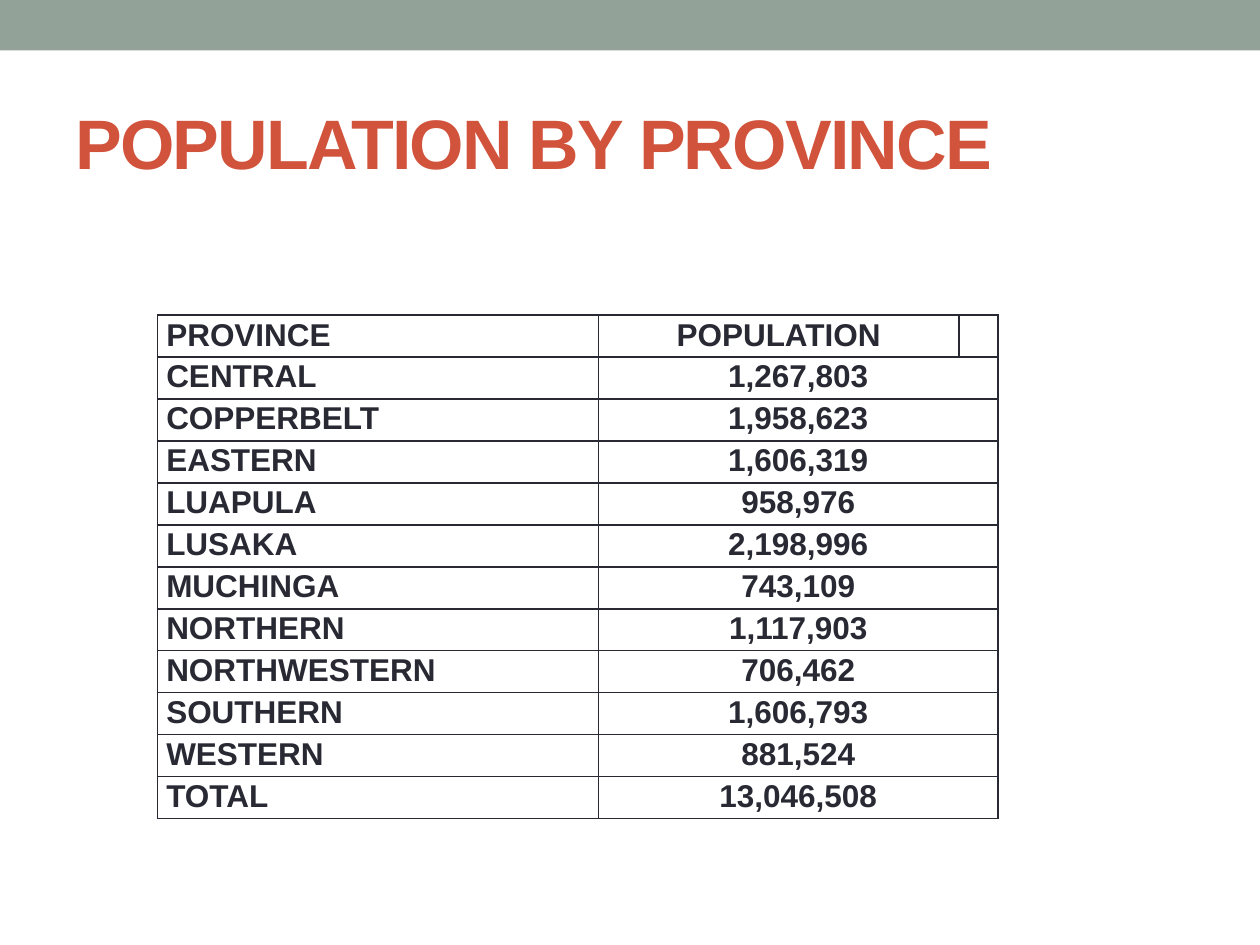
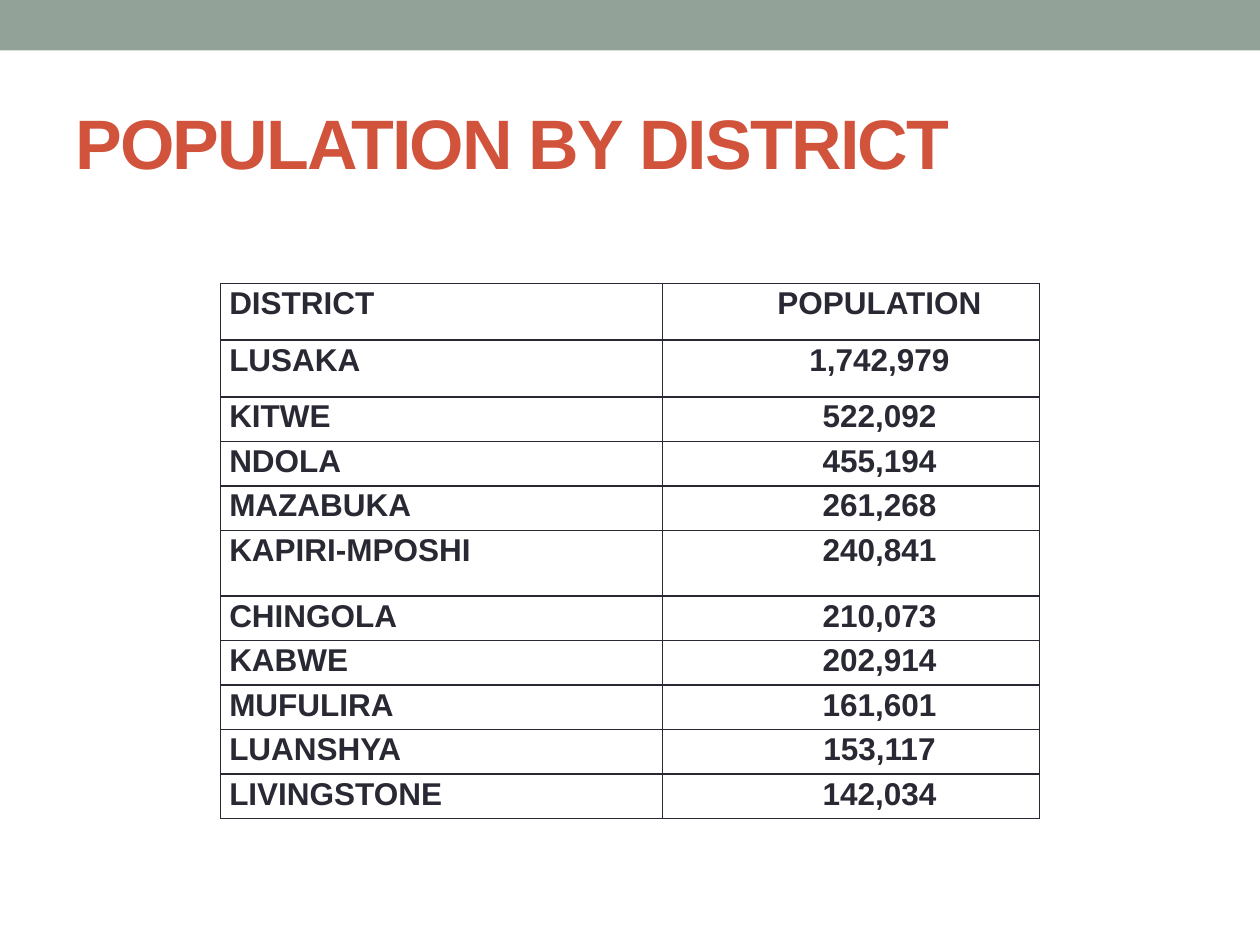
import pptx
import pptx.dml.color
import pptx.enum.shapes
import pptx.enum.text
import pptx.oxml
import pptx.oxml.ns
import pptx.util
from dataclasses import dataclass

Inches = pptx.util.Inches
Pt = pptx.util.Pt
ALIGN = pptx.enum.text.PP_ALIGN
ANCHOR = pptx.enum.text.MSO_ANCHOR


@dataclass(frozen=True)
class Theme:
    band: str = "93A299"
    title: str = "D2533C"
    ink: str = "292934"
    font: str = "Arial"
    title_size: int = 40
    table_size: int = 18
    border_width: int = 1
    line_spacing: float = 1.07


THEME = Theme()

PROVINCES = [
    ("PROVINCE", "POPULATION"),
    ("CENTRAL", "1,267,803"),
    ("COPPERBELT", "1,958,623"),
    ("EASTERN", "1,606,319"),
    ("LUAPULA", "958,976"),
    ("LUSAKA", "2,198,996"),
    ("MUCHINGA", "743,109"),
    ("NORTHERN", "1,117,903"),
    ("NORTHWESTERN", "706,462"),
    ("SOUTHERN", "1,606,793"),
    ("WESTERN", "881,524"),
    ("TOTAL", "13,046,508"),
]

DISTRICTS = [
    ("DISTRICT", "POPULATION"),
    ("LUSAKA", "1,742,979"),
    ("KITWE", "522,092"),
    ("NDOLA", "455,194"),
    ("MAZABUKA", "261,268"),
    ("KAPIRI-MPOSHI", "240,841"),
    ("CHINGOLA", "210,073"),
    ("KABWE", "202,914"),
    ("MUFULIRA", "161,601"),
    ("LUANSHYA", "153,117"),
    ("LIVINGSTONE", "142,034"),
]


def set_attributes(target, values):
    for name, value in values.items():
        setattr(target, name, value)


def add_run(paragraph, text, size, color):
    run = paragraph.add_run()
    run.text = text
    set_attributes(run.font, {"name": THEME.font, "size": Pt(size), "bold": True})
    run.font.color.rgb = pptx.dml.color.RGBColor.from_string(color)
    return run


# Shared slide parts: top band and title
def add_band(slide):
    shape = slide.shapes.add_shape(
        pptx.enum.shapes.MSO_SHAPE.RECTANGLE, 0, 0, Inches(10), Inches(0.4))
    shape.shadow.inherit = False
    shape.fill.solid()
    shape.fill.fore_color.rgb = pptx.dml.color.RGBColor.from_string(THEME.band)
    shape.line.fill.background()


def add_title(slide, text):
    box = slide.shapes.add_textbox(Inches(0.5), Inches(0.58), Inches(9), Inches(1.08))
    set_attributes(box.text_frame, {"word_wrap": True, "vertical_anchor": ANCHOR.MIDDLE})
    run = add_run(box.text_frame.paragraphs[0], text, THEME.title_size, THEME.title)
    run.font._element.set("spc", "-100")


def add_titled_slide(presentation, title):
    slide = presentation.slides.add_slide(presentation.slide_layouts[6])
    add_band(slide)
    add_title(slide, title)
    return slide


# Table parts
def style_cell(cell):
    set_attributes(cell, {
        "margin_left": Inches(0.07), "margin_right": Inches(0.07),
        "margin_top": 0, "margin_bottom": 0, "vertical_anchor": ANCHOR.TOP})
    properties = cell._tc.get_or_add_tcPr()
    for side in ("lnL", "lnR", "lnT", "lnB"):
        properties.append(pptx.oxml.parse_xml(
            f'<a:{side} {pptx.oxml.ns.nsdecls("a")} w="{Pt(THEME.border_width)}">'
            f'<a:solidFill><a:srgbClr val="{THEME.ink}"/></a:solidFill></a:{side}>'))
    cell.fill.background()


def write_cell(cell, text, alignment, indent=0):
    paragraph = cell.text_frame.paragraphs[0]
    set_attributes(paragraph, {"alignment": alignment, "line_spacing": THEME.line_spacing})
    if indent:
        paragraph._p.get_or_add_pPr().set("indent", str(Inches(indent)))
    add_run(paragraph, text, THEME.table_size, THEME.ink)


def add_population_table(slide, records, left, top, columns, row_heights, indent=0):
    table = slide.shapes.add_table(
        len(records), len(columns), Inches(left), Inches(top),
        Inches(sum(columns)), Inches(sum(row_heights))).table
    set_attributes(table, {"first_row": False, "horz_banding": False})
    for column, width in zip(table.columns, columns):
        column.width = Inches(width)
    for row, height in zip(table.rows, row_heights):
        row.height = Inches(height)
    for cell in table.iter_cells():
        style_cell(cell)
    for index, (place, population) in enumerate(records):
        write_cell(table.cell(index, 0), place, ALIGN.LEFT)
        write_cell(table.cell(index, 1), population, ALIGN.CENTER, indent)
    return table


def add_province_slide(presentation):
    slide = add_titled_slide(presentation, "POPULATION BY PROVINCE")
    count = len(PROVINCES)
    table = add_population_table(
        slide, PROVINCES, 1.25, 2.5, [3.5, 2.86, 0.31], [4 / count] * count)
    # Figures span the narrow last column below the header
    for index in range(1, count):
        table.cell(index, 1).merge(table.cell(index, 2))


def add_district_slide(presentation):
    slide = add_titled_slide(presentation, "POPULATION BY DISTRICT")
    # A few rows are taller; the others share the remaining height
    tall_rows = {0: 0.45, 1: 0.45, 5: 0.52}
    count = len(DISTRICTS)
    regular = (4.25 - sum(tall_rows.values())) / (count - len(tall_rows))
    heights = [tall_rows.get(index, regular) for index in range(count)]
    add_population_table(slide, DISTRICTS, 1.75, 2.25, [3.51, 2.99], heights, indent=0.45)


def main():
    presentation = pptx.Presentation()
    set_attributes(presentation, {"slide_width": Inches(10), "slide_height": Inches(7.5)})
    add_province_slide(presentation)
    add_district_slide(presentation)
    presentation.save("out.pptx")


if __name__ == "__main__":
    main()
